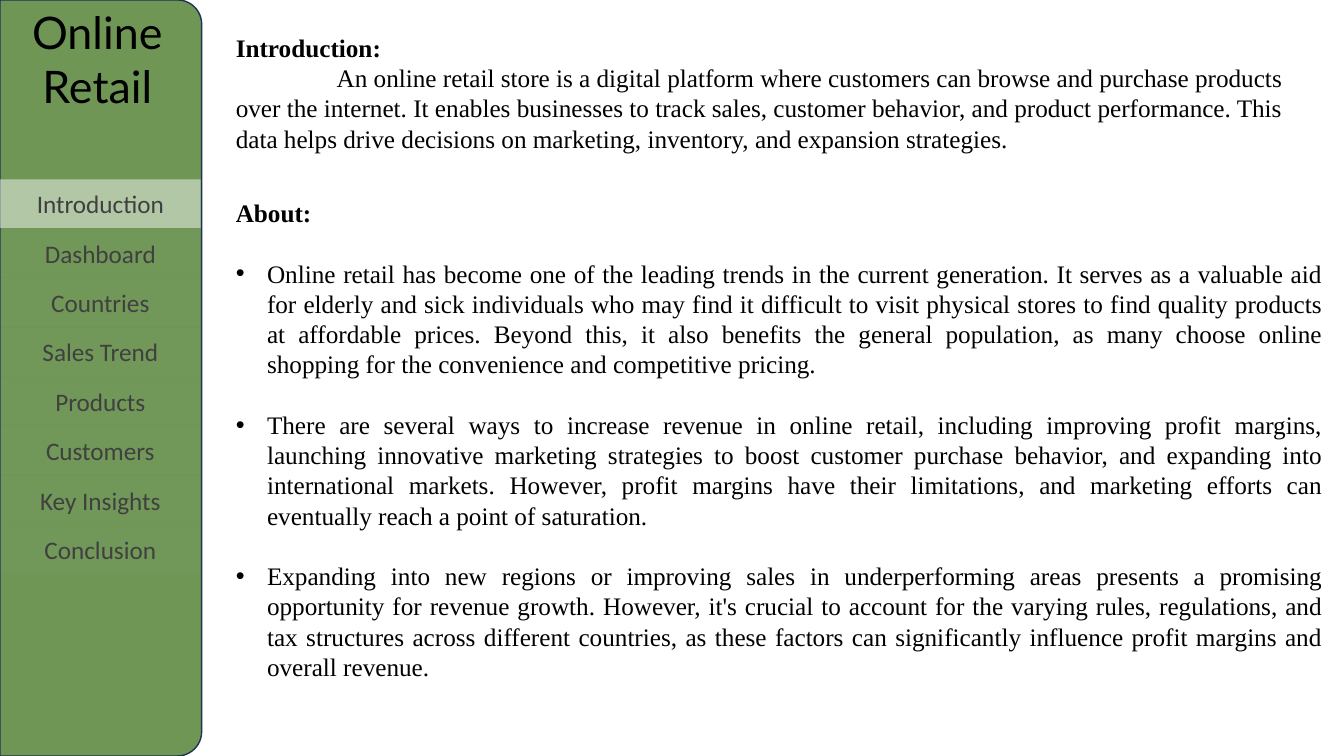
"""Build the introduction slide of an online retail deck."""
from lxml import etree
from pptx import Presentation
from pptx.dml.color import RGBColor
from pptx.enum.shapes import MSO_SHAPE
from pptx.enum.text import MSO_ANCHOR, PP_ALIGN
from pptx.oxml.ns import qn
from pptx.util import Inches, Pt

RECT, TAB = MSO_SHAPE.RECTANGLE, MSO_SHAPE.ROUND_2_SAME_RECTANGLE
TOP, MIDDLE = MSO_ANCHOR.TOP, MSO_ANCHOR.MIDDLE
LEFT, CENTER, JUSTIFY = PP_ALIGN.LEFT, PP_ALIGN.CENTER, PP_ALIGN.JUSTIFY
COLORS = {"green": "548235", "edge": "1E3256", "white": "FFFFFF",
          "gray": "404040", "black": "000000"}
SERIF = "Times New Roman"


def write(para, text, size=18, font=SERIF, color="black", bold=False,
          align=LEFT, gap=0, margin=0, indent=0, bullet=False):
    """Put formatted text into a paragraph."""
    para.alignment = align
    para.space_before = Pt(gap)
    run = para.add_run()
    run.text = text
    run.font.size, run.font.name, run.font.bold = Pt(size), font, bold
    run.font.color.rgb = RGBColor.from_string(COLORS[color])
    props = para._p.get_or_add_pPr()
    props.set("marL", str(Inches(margin)))
    props.set("indent", str(Inches(indent)))
    if bullet:
        etree.SubElement(props, qn("a:buFont"), typeface="Arial")
        etree.SubElement(props, qn("a:buChar"), char="•")


def paint(shape, color, alpha):
    """Give a shape a see-through fill and no shadow."""
    shape.shadow.inherit = False
    shape.fill.solid()
    shape.fill.fore_color.rgb = RGBColor.from_string(COLORS[color])
    tint = shape.fill._xPr.find(qn("a:solidFill"))[0]
    etree.SubElement(tint, qn("a:alpha"), val=str(alpha * 1000))


deck = Presentation()
deck.slide_width, deck.slide_height = Inches(13.33), Inches(7.5)
slide = deck.slides.add_slide(deck.slide_layouts[5])
shapes = slide.shapes

panel = shapes.add_shape(TAB, Inches(-2.75), Inches(2.75), Inches(7.5), Inches(2))
panel.rotation = 90
panel.adjustments[0], panel.adjustments[1] = 0.12, 0
paint(panel, "green", 84)
panel.line.color.rgb = RGBColor.from_string(COLORS["edge"])
panel.line.width = Pt(1)
shapes._spTree.insert(2, panel._element)

title = shapes.title
title.left, title.top = Inches(0.09), Inches(0)
title.width, title.height = Inches(1.75), Inches(1.18)
title.text_frame.vertical_anchor = TOP
write(title.text_frame.paragraphs[0], "Online Retail", size=32, font="Lato",
      align=CENTER)

menu = ["Introduction", "Dashboard", "Countries", "Sales Trend", "Products",
        "Customers", "Key Insights", "Conclusion"]
for row, label in enumerate(menu):
    item = shapes.add_shape(RECT, Inches(0), Inches(1.78 + 0.49 * row),
                            Inches(1.99), Inches(0.48))
    paint(item, "white", 47 if row == 0 else 2)
    item.line.fill.background()
    item.text_frame.vertical_anchor = MIDDLE
    write(item.text_frame.paragraphs[0], label, font="Calibri", color="gray",
          align=CENTER)

intro = (
    "An online retail store is a digital platform where customers can browse and "
    "purchase products over the internet. It enables businesses to track sales, "
    "customer behavior, and product performance. This data helps drive decisions "
    "on marketing, inventory, and expansion strategies.")
points = [
    "Online retail has become one of the leading trends in the current generation. "
    "It serves as a valuable aid for elderly and sick individuals who may find it "
    "difficult to visit physical stores to find quality products at affordable "
    "prices. Beyond this, it also benefits the general population, as many choose "
    "online shopping for the convenience and competitive pricing.",
    "There are several ways to increase revenue in online retail, including "
    "improving profit margins, launching innovative marketing strategies to boost "
    "customer purchase behavior, and expanding into international markets. "
    "However, profit margins have their limitations, and marketing efforts can "
    "eventually reach a point of saturation.",
    "Expanding into new regions or improving sales in underperforming areas "
    "presents a promising opportunity for revenue growth. However, it's crucial "
    "to account for the varying rules, regulations, and tax structures across "
    "different countries, as these factors can significantly influence profit "
    "margins and overall revenue."]
dots = dict(align=JUSTIFY, gap=21.6, margin=0.31, indent=-0.31, bullet=True)
parts = [("Introduction:", 0.27, 1.31, [intro], dict(indent=1)),
         ("About:", 1.91, 4.95, points, dots)]
for head, top, height, texts, style in parts:
    box = shapes.add_textbox(Inches(2.24), Inches(top), Inches(10.98), Inches(height))
    frame = box.text_frame
    frame.word_wrap = True
    write(frame.paragraphs[0], head, bold=True)
    for text in texts:
        write(frame.add_paragraph(), text, **style)

deck.save("out.pptx")
